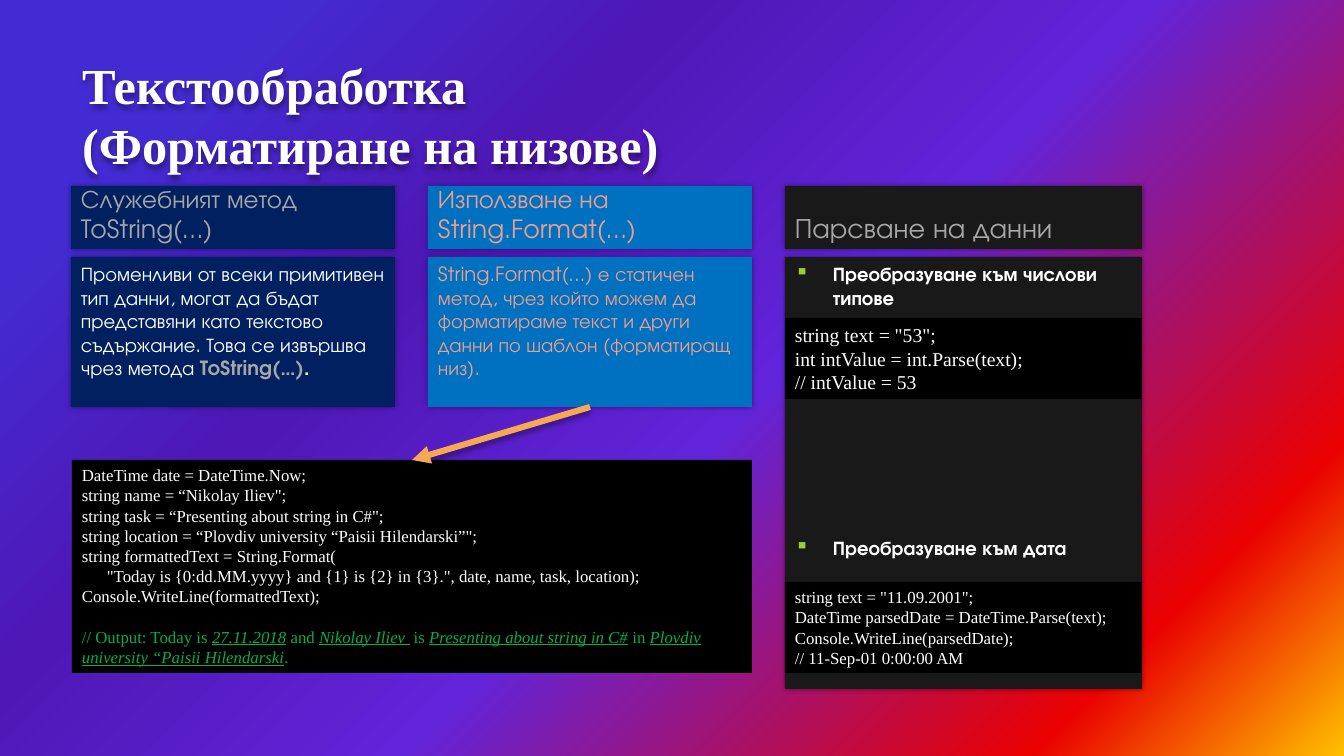
from lxml import etree
from pptx import Presentation, util as u
from pptx.dml import color
from pptx.enum import shapes, text
from pptx.oxml import ns, parse_xml

PX = 914400 / 100.8
SANS, SERIF = "TeX Gyre Adventor", "Times New Roman"
WHITE, GREY, SALMON, GREEN = "FFFFFF", "A6A6A6", "EA9E8B", "00B050"
NAVY, BLUE, CHARCOAL, BLACK = "002060", "0070C0", "191919", "000000"
COLUMN_STEP, HEADING_HEIGHT, BODY_OFFSET = 357, 63, 71
GRADIENT = [(0, "FFC000"), (15, "EA0000"), (45, "6124DA"), (67, "4F17B5"), (87, "432BD3")]

OUTPUT_LINE = [
    ("// Output: Today is ", False), ("27.11.2018", True), (" and ", False),
    ("Nikolay Iliev ", True), (" is ", False), ("Presenting about string in C#", True),
    (" in ", False), ("Plovdiv university “Paisii Hilendarski", True), (".", False),
]
FORMAT_CODE = [
    "DateTime date = DateTime.Now;",
    "string name = “Nikolay Iliev\";",
    "string task = “Presenting about string in C#\";",
    "string location = “Plovdiv university “Paisii Hilendarski”\";",
    "string formattedText = String.Format(",
    "\"Today is {0:dd.MM.yyyy} and {1} is {2} in {3}.\", date, name, task, location);",
    "Console.WriteLine(formattedText);",
]
NUMBER_CODE = ["string text = \"53\";", "int intValue = int.Parse(text);", "// intValue = 53"]
DATE_CODE = [
    "string text = \"11.09.2001\";",
    "DateTime parsedDate = DateTime.Parse(text);",
    "Console.WriteLine(parsedDate);",
    "// 11-Sep-01 0:00:00 AM",
]


def px(length):
    """Turn pixels into EMU."""
    return u.Emu(round(length * PX))


def rgb(value):
    """Turn a hex string into a colour."""
    return color.RGBColor.from_string(value)


def paint_background(slide):
    """Fill the slide with a radial gradient from its bottom right corner."""
    stops = "".join(
        f'<a:gs pos="{percent * 1000}"><a:srgbClr val="{value}"/></a:gs>'
        for percent, value in GRADIENT
    )
    background = parse_xml(
        f'<p:bg {ns.nsdecls("p", "a")}><p:bgPr><a:gradFill><a:gsLst>{stops}</a:gsLst>'
        '<a:path path="circle"><a:fillToRect l="100000" t="100000"/></a:path>'
        '<a:tileRect r="-100000" b="-100000"/></a:gradFill><a:effectLst/></p:bgPr></p:bg>'
    )
    slide.element.cSld.insert(0, background)


def add_shadow(shape, opacity, blur, distance, direction):
    """Give a shape a soft black shadow; lengths are points."""
    properties = shape.element.spPr
    effects = properties.find(ns.qn("a:effectLst"))
    if effects is None:
        effects = etree.SubElement(properties, ns.qn("a:effectLst"))
    effects.append(parse_xml(
        f'<a:outerShdw {ns.nsdecls("a")} blurRad="{u.Pt(blur)}" dist="{u.Pt(distance)}" '
        f'dir="{direction * 60000}" rotWithShape="0"><a:srgbClr val="000000">'
        f'<a:alpha val="{opacity * 1000}"/></a:srgbClr></a:outerShdw>'
    ))


def style(paragraph, font, size, value, bold=False):
    """Format a left-aligned paragraph."""
    paragraph.alignment = text.PP_ALIGN.LEFT
    paragraph.font.name, paragraph.font.size = font, u.Pt(size)
    paragraph.font.color.rgb, paragraph.font.bold = rgb(value), bold


def add_box(slide, box, fill, lines, font, size, value, anchor=text.MSO_ANCHOR.TOP):
    """Add a filled rectangle with one paragraph per line."""
    shape = slide.shapes.add_shape(shapes.MSO_SHAPE.RECTANGLE, *map(px, box))
    shape.shadow.inherit = False
    shape.fill.solid()
    shape.fill.fore_color.rgb = rgb(fill)
    shape.line.fill.background()
    frame = shape.text_frame
    frame.word_wrap, frame.vertical_anchor = True, anchor
    for index, line in enumerate(lines):
        paragraph = frame.add_paragraph() if index else frame.paragraphs[0]
        paragraph.text = line
        style(paragraph, font, size, value)
    return shape


def add_title(slide, box):
    """Place and format the slide title."""
    title = slide.shapes.title
    title.left, title.top, title.width, title.height = map(px, box)
    frame = title.text_frame
    frame.text = "Текстообработка\v(Форматиране на низове)"
    frame.auto_size, frame.vertical_anchor = text.MSO_AUTO_SIZE.NONE, text.MSO_ANCHOR.BOTTOM
    style(frame.paragraphs[0], SERIF, 36, "FEFEFE", True)
    add_shadow(title, 40, 4, 2, 90)


def add_column(slide, box, fill, heading, heading_size, heading_color, body, body_color):
    """Add a heading panel with a body panel under it and return the body."""
    left, top, width, height = box
    head = add_box(slide, (left, top, width, HEADING_HEIGHT), fill, [heading], SANS,
                   heading_size, heading_color, text.MSO_ANCHOR.BOTTOM)
    panel = add_box(slide, (left, top + BODY_OFFSET, width, height - BODY_OFFSET), fill,
                    body, SANS, 14, body_color)
    for shape in (head, panel):
        add_shadow(shape, 40, 4, 0, 240)
    return panel


def add_bullet(paragraph):
    """Put a green square bullet before a bold paragraph."""
    paragraph.font.bold = True
    properties = paragraph.font._element.getparent()
    properties.set("marL", str(px(38)))
    properties.set("indent", str(-px(38)))
    defaults = properties.find(ns.qn("a:defRPr"))
    for bullet in ('<a:buClr {}><a:srgbClr val="9ECD33"/></a:buClr>', '<a:buChar {} char="▪"/>'):
        defaults.addprevious(parse_xml(bullet.format(ns.nsdecls("a"))))


def add_parsing_column(slide, box):
    """Add the parsing column with its two code samples."""
    left, top, width, _ = box
    panel = add_column(slide, box, CHARCOAL, "Парсване на данни", 20, GREY,
                       ["Преобразуване към числови типове", "Преобразуване към дата"], WHITE)
    numbers, dates = panel.text_frame.paragraphs
    dates.space_before = u.Pt(162)
    for paragraph in (numbers, dates):
        add_bullet(paragraph)
    add_box(slide, (left, top + 132, width, 81), BLACK, NUMBER_CODE, SERIF, 14, WHITE)
    add_box(slide, (left, top + 396, width, 91), BLACK, DATE_CODE, SERIF, 12, WHITE)


def add_format_code(slide, box):
    """Add the formatting sample and its output line."""
    sample = add_box(slide, box, BLACK, FORMAT_CODE, SERIF, 12, WHITE)
    arguments = sample.text_frame.paragraphs[5]
    arguments.font._element.getparent().set("marL", str(px(25)))
    output = sample.text_frame.add_paragraph()
    output.space_before = u.Pt(14.4)
    style(output, SERIF, 12, GREEN)
    for words, inserted in OUTPUT_LINE:
        run = output.add_run()
        run.text = words
        run.font.italic = run.font.underline = inserted
    return sample


def add_arrow(slide, source, target):
    """Join the bottom of one box to the top of another with an arrow."""
    arrow = slide.shapes.add_connector(shapes.MSO_CONNECTOR.STRAIGHT, 0, 0, 0, 0)
    arrow.begin_connect(source, 2)
    arrow.end_connect(target, 0)
    arrow.line.color.rgb, arrow.line.width = rgb("F7A853"), u.Pt(4.33)
    etree.SubElement(arrow.line._get_or_add_ln(), ns.qn("a:tailEnd"), type="triangle")
    add_shadow(arrow, 35, 4, 3, 90)


def main():
    """Build and save the slide."""
    presentation = Presentation()
    presentation.slide_width, presentation.slide_height = px(1344), px(756)
    slide = presentation.slides.add_slide(presentation.slide_layouts[5])
    paint_background(slide)
    add_title(slide, (72, 50, 999, 130))
    left, top = 71, 186
    method = add_column(
        slide, (left, top, 324, 221), NAVY, "Служебният метод ToString(…)", 18, GREY,
        ["Променливи от всеки примитивен тип данни, могат да бъдат представяни като "
         "текстово съдържание. Това се извършва чрез метода "], WHITE)
    for words, value in (("ToString(…)", GREY), (".", WHITE)):
        run = method.text_frame.paragraphs[0].add_run()
        run.text = words
        run.font.bold, run.font.color.rgb = True, rgb(value)
    template = add_column(
        slide, (left + COLUMN_STEP, top, 324, 221), BLUE, "Използване на String.Format(…)",
        18, SALMON, ["String.Format(…) е статичен метод, чрез който можем да форматираме "
                     "текст и други данни по шаблон (форматиращ низ)."], SALMON)
    add_parsing_column(slide, (left + 2 * COLUMN_STEP, top, 357, 503))
    sample = add_format_code(slide, (72, 460, 680, 213))
    add_arrow(slide, template, sample)
    presentation.save("out.pptx")


if __name__ == "__main__":
    main()
